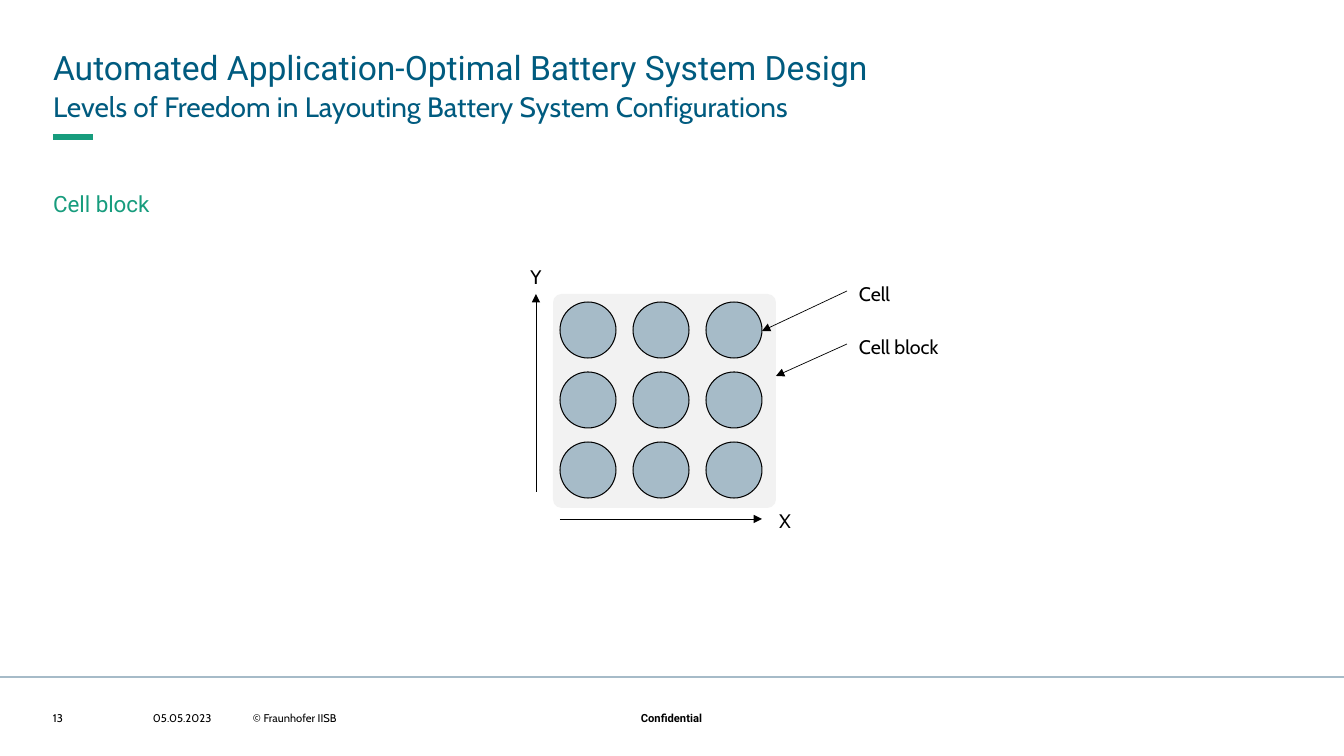
from itertools import product
from typing import NamedTuple

from lxml.etree import SubElement
from pptx import Presentation
from pptx.dml.color import RGBColor
from pptx.enum.shapes import MSO_CONNECTOR, MSO_SHAPE
from pptx.enum.text import MSO_ANCHOR, MSO_AUTO_SIZE, PP_ALIGN
from pptx.oxml.ns import qn
from pptx.util import Pt

EMU_PER_PX = 914400 / 100.8


class Theme:
    """Colours, fonts and type sizes of the deck."""
    blue = RGBColor(0x00, 0x5B, 0x7F)
    green = RGBColor(0x17, 0x9C, 0x7D)
    steel = RGBColor(0xA6, 0xBB, 0xC8)
    pale = RGBColor(0xF2, 0xF2, 0xF2)
    black = RGBColor(0, 0, 0)
    heading_font, text_font = "Roboto", "Cabin"
    title_size, subtitle_size, heading_size = Pt(24), Pt(20), Pt(16)
    label_size, footer_size = Pt(14), Pt(8)
    label_spacing = Pt(19.6)


class Box(NamedTuple):
    """A rectangle in px."""
    left: int
    top: int
    width: int
    height: int

    def inner(self, left, top, width, height):
        """Return a box given relative to this one."""
        return Box(self.left + left, self.top + top, width, height)


def px(length):
    """Turn px into EMU."""
    return round(length * EMU_PER_PX)


def emu(box):
    """Turn a sequence of px lengths into EMU."""
    return [px(length) for length in box]


def write(shape, text, size, color=Theme.black, font=Theme.text_font, bold=False,
          align=PP_ALIGN.LEFT, anchor=MSO_ANCHOR.MIDDLE, inset=0, spacing=1.0, after=0):
    """Fill a shape with one formatted paragraph."""
    frame = shape.text_frame
    frame.text = text
    frame.word_wrap = True
    frame.auto_size = MSO_AUTO_SIZE.NONE
    frame.vertical_anchor = anchor
    frame.margin_left = frame.margin_top = frame.margin_right = frame.margin_bottom = px(inset)
    para = frame.paragraphs[0]
    para.alignment = align
    para.line_spacing = spacing
    para.space_before, para.space_after = Pt(0), Pt(after)
    para.font.size, para.font.name, para.font.bold = size, font, bold
    para.font.color.rgb = color


def add_text(shapes, box, text, size, **style):
    """Add a text box."""
    write(shapes.add_textbox(*emu(box)), text, size, **style)


def add_label(shapes, box, text, align=PP_ALIGN.LEFT):
    """Add a diagram label."""
    add_text(shapes, box, text, Theme.label_size, align=align, inset=12,
             spacing=Theme.label_spacing)


def add_line(shapes, start, end, color, width, arrow=False):
    """Add a straight line, with an arrowhead at its end if wanted."""
    line = shapes.add_connector(MSO_CONNECTOR.STRAIGHT, *emu((*start, *end)))
    line.line.color.rgb = color
    line.line.width = Pt(width)
    if arrow:
        SubElement(line.line._get_or_add_ln(), qn("a:tailEnd"), type="triangle")
    SubElement(line._element.spPr, qn("a:effectLst"))


def add_arrow(shapes, start, end):
    """Add a thin black arrow."""
    add_line(shapes, start, end, Theme.black, 0.5, arrow=True)


def add_solid(shapes, kind, box, fill, outlined=False):
    """Add a filled preset shape."""
    shape = shapes.add_shape(kind, *emu(box))
    shape.shadow.inherit = False
    shape.fill.solid()
    shape.fill.fore_color.rgb = fill
    if outlined:
        shape.line.color.rgb = Theme.black
        shape.line.width = Pt(0.75)
    else:
        shape.line.fill.background()
    return shape


def place(placeholder, box, text, size, color, font):
    """Move and fill a placeholder."""
    placeholder.left, placeholder.top, placeholder.width, placeholder.height = emu(box)
    write(placeholder, text, size, color=color, font=font,
          anchor=MSO_ANCHOR.TOP, spacing=1.1)


def add_header(page, box):
    """Place title, subtitle, accent rule and section heading."""
    holders = {item.placeholder_format.idx: item for item in page.placeholders}
    place(holders[0], box.inner(0, 0, box.width, 42),
          "Automated Application-Optimal Battery System Design",
          Theme.title_size, Theme.blue, Theme.heading_font)
    place(holders[1], box.inner(0, 43, box.width, 35),
          "Levels of Freedom in Layouting Battery System Configurations",
          Theme.subtitle_size, Theme.blue, Theme.text_font)
    place(holders[3], box.inner(0, 144, box.width, 28), "Cell block",
          Theme.heading_size, Theme.green, Theme.heading_font)
    for unused in (holders[2], holders[4]):
        unused._element.getparent().remove(unused._element)
    rule = box.top + 94
    add_line(page.shapes, (box.left, rule), (box.left + 40, rule), Theme.green, 4)


def add_cell_block(shapes, box):
    """Draw the block with its three by three cells."""
    block = add_solid(shapes, MSO_SHAPE.ROUNDED_RECTANGLE, box, Theme.pale)
    block.adjustments[0] = 0.04
    for row, column in product(range(3), repeat=2):
        cell = box.inner(7 + 73 * column, 8 + 70 * row, 56, 56)
        add_solid(shapes, MSO_SHAPE.FLOWCHART_CONNECTOR, cell, Theme.steel, outlined=True)


def add_axes(shapes, box):
    """Draw the X and Y axes beside the block."""
    bottom, right = box.top + box.height, box.left + box.width
    add_arrow(shapes, (box.left + 7, bottom + 11), (right - 14, bottom + 11))
    add_arrow(shapes, (box.left - 17, bottom - 16), (box.left - 17, box.top))
    add_label(shapes, box.inner(-43, -39, 52, 39), "Y", PP_ALIGN.CENTER)
    add_label(shapes, box.inner(box.width - 17, box.height - 9, 52, 39), "X", PP_ALIGN.CENTER)


def add_callouts(shapes, box):
    """Name the cell and the block with arrows from the right."""
    right = box.left + box.width
    callouts = (("Cell", -3, (right - 14, box.top + 37)),
                ("Cell block", 50, (right, box.top + 82)))
    for text, offset, target in callouts:
        add_arrow(shapes, (right + 71, box.top + offset), target)
        add_label(shapes, box.inner(box.width + 71, offset - 19, 125, 39), text)


def add_footer(page, box):
    """Draw the footer rule and its entries."""
    add_line(page.shapes, (box.left, box.top), (box.left + box.width, box.top),
             Theme.steel, 1.5)
    entries = ((53, 80, "13"), (153, 80, "05.05.2023"), (253, 326, "© Fraunhofer IISB"))
    for left, width, text in entries:
        add_text(page.shapes, box.inner(left, 35, width, 13), text, Theme.footer_size)
    add_text(page.shapes, box.inner(592, 35, 159, 13), "Confidential", Theme.footer_size,
             font=Theme.heading_font, bold=True, align=PP_ALIGN.CENTER)


def main():
    """Build and save the deck."""
    deck = Presentation()
    deck.slide_width, deck.slide_height = px(1344), px(756)
    page = deck.slides.add_slide(deck.slide_layouts.get_by_name("Comparison"))
    block = Box(553, 294, 223, 214)
    add_header(page, Box(53, 43, 1238, 172))
    add_cell_block(page.shapes.add_group_shape().shapes, block)
    add_axes(page.shapes.add_group_shape().shapes, block)
    add_callouts(page.shapes, block)
    add_footer(page, Box(0, 677, 1344, 79))
    deck.save("out.pptx")


if __name__ == "__main__":
    main()
